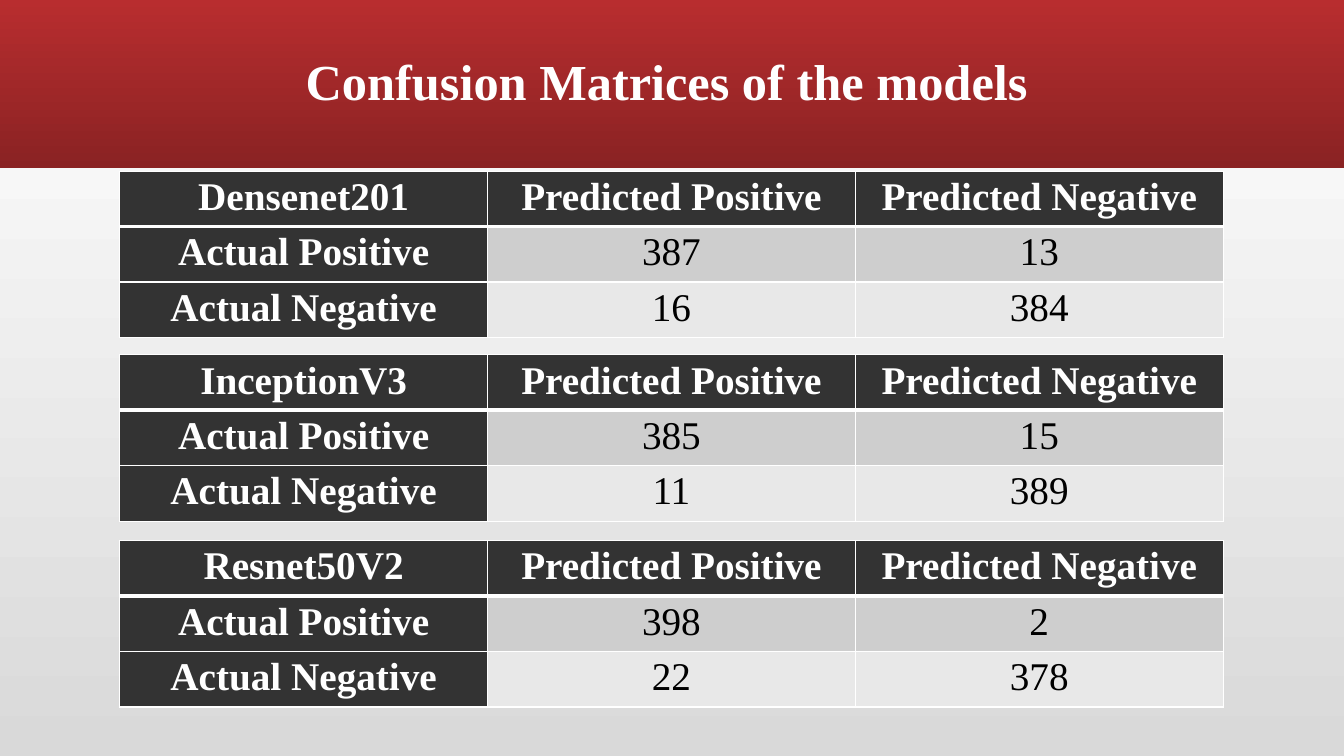
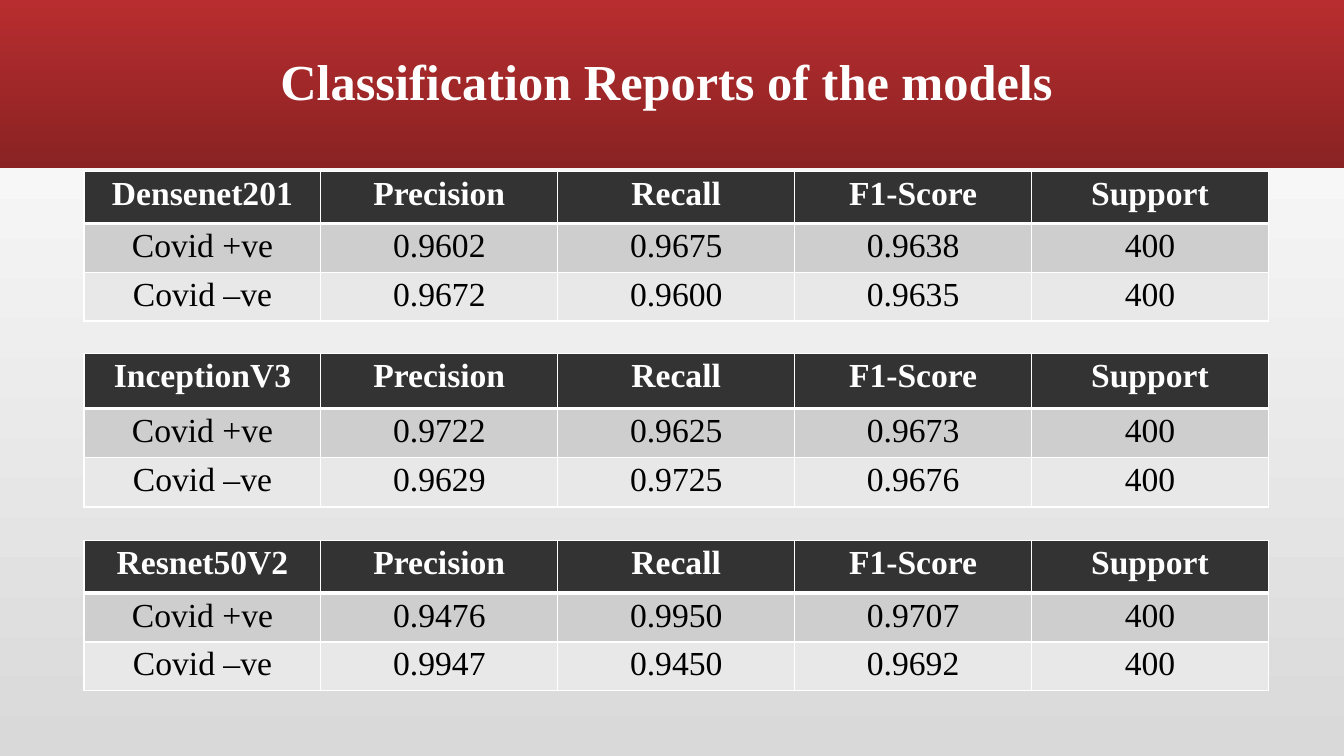
import lxml.etree
import pptx
import pptx.dml.color
import pptx.enum.shapes
import pptx.enum.text
import pptx.oxml.ns
import pptx.util

WIDE, HIGH = 1280, 720
SCALE = 9525  # EMU in one px


class Theme:
    font = "Times New Roman"
    white, black, dark = "FFFFFF", "000000", "333333"
    bands = ("CECECE", "E8E8E8")
    back = ("D9D9D9", "FFFFFF")
    head = ("B82D2F", "8A2223")
    title, large, small = 36, 28, 24
    thin, thick = 1, 3


def px(*nums):
    return [pptx.util.Emu(num * SCALE) for num in nums]


def rgb(code):
    return pptx.dml.color.RGBColor.from_string(code)


def put(item, values):
    for name, value in values.items():
        setattr(item, name, value)


class Deck:
    def __init__(self):
        self.show = pptx.Presentation()
        size = px(WIDE, HIGH)
        put(self.show, {"slide_width": size[0], "slide_height": size[1]})
        self.slide = None

    def blend(self, fill, tones, angle):
        fill.gradient()
        fill.gradient_angle = angle
        for spot, (stop, tone) in enumerate(zip(fill.gradient_stops, tones)):
            stop.position = spot
            stop.color.rgb = rgb(tone)

    def label(self, frame, text, size, tone, bold, gap=None):
        para = frame.paragraphs[0]
        put(para, {"alignment": pptx.enum.text.PP_ALIGN.CENTER,
                   "line_spacing": gap})
        run = para.add_run()
        run.text = text
        put(run.font, {"name": Theme.font, "size": pptx.util.Pt(size),
                       "bold": bold})
        run.font.color.rgb = rgb(tone)

    # Background, red band and title
    def page(self, title):
        self.slide = self.show.slides.add_slide(self.show.slide_layouts[6])
        self.blend(self.slide.background.fill, Theme.back, 90)
        band = self.slide.shapes.add_shape(
            pptx.enum.shapes.MSO_SHAPE.RECTANGLE, *px(0, 0, WIDE, 160))
        band.shadow.inherit = False
        band.line.fill.background()
        self.blend(band.fill, Theme.head, 270)
        frame = self.slide.shapes.add_textbox(*px(55, 11, 1160, 139)).text_frame
        put(frame, {"word_wrap": True,
                    "vertical_anchor": pptx.enum.text.MSO_ANCHOR.MIDDLE})
        self.label(frame, title, Theme.title, Theme.white, True, 0.9)

    # White cell borders
    def edge(self, cell, sides):
        props = cell._tc.get_or_add_tcPr()
        name = pptx.oxml.ns.qn
        for side, width in sides.items():
            line = lxml.etree.SubElement(props, name("a:ln" + side),
                                         w=str(pptx.util.Pt(width)))
            fill = lxml.etree.SubElement(line, name("a:solidFill"))
            lxml.etree.SubElement(fill, name("a:srgbClr"), val=Theme.white)

    # Table with a dark top row and, if asked, a dark first column
    def table(self, box, rows, highs, size, side):
        grid = self.slide.shapes.add_table(
            len(rows), len(rows[0]), *px(*box, sum(highs))).table
        grid.horz_banding = False
        for line, high in zip(grid.rows, px(*highs)):
            line.height = high
        pad, = px(4)
        for r, row in enumerate(rows):
            for c, text in enumerate(row):
                cell = grid.cell(r, c)
                dark = r == 0 or (side and c == 0)
                put(cell, {"margin_top": pad, "margin_bottom": pad})
                self.edge(cell, {
                    "L": Theme.thin, "R": Theme.thin,
                    "T": Theme.thick if r == 1 else Theme.thin,
                    "B": Theme.thick if r == 0 else Theme.thin})
                cell.fill.solid()
                cell.fill.fore_color.rgb = rgb(
                    Theme.dark if dark else Theme.bands[r - 1])
                self.label(cell.text_frame, text, size,
                           Theme.white if dark else Theme.black, dark)


MODELS = ("Densenet201", "InceptionV3", "Resnet50V2")
COUNTS = (
    (("387", "13"), ("16", "384")),
    (("385", "15"), ("11", "389")),
    (("398", "2"), ("22", "378")),
)
SCORES = (
    (("0.9602", "0.9675", "0.9638"), ("0.9672", "0.9600", "0.9635")),
    (("0.9722", "0.9625", "0.9673"), ("0.9629", "0.9725", "0.9676")),
    (("0.9476", "0.9950", "0.9707"), ("0.9947", "0.9450", "0.9692")),
)


def main():
    deck = Deck()

    # Confusion matrices
    deck.page("Confusion Matrices of the models")
    for model, (pos, neg), top in zip(MODELS, COUNTS, (163, 338, 515)):
        rows = ((model, "Predicted Positive", "Predicted Negative"),
                ("Actual Positive", *pos), ("Actual Negative", *neg))
        deck.table((114, top, 1051), rows, (51, 51, 51), Theme.large, True)

    # Classification reports
    deck.page("Classification Reports of the models")
    places = ((163, (50, 45, 45)), (337, (52, 47, 47)), (515, (50, 45, 45)))
    for model, (pos, neg), (top, highs) in zip(MODELS, SCORES, places):
        rows = ((model, "Precision", "Recall", "F1-Score", "Support"),
                ("Covid +ve", *pos, "400"), ("Covid –ve", *neg, "400"))
        deck.table((80, top, 1128), rows, highs, Theme.small, False)

    deck.show.save("out.pptx")


if __name__ == "__main__":
    main()
